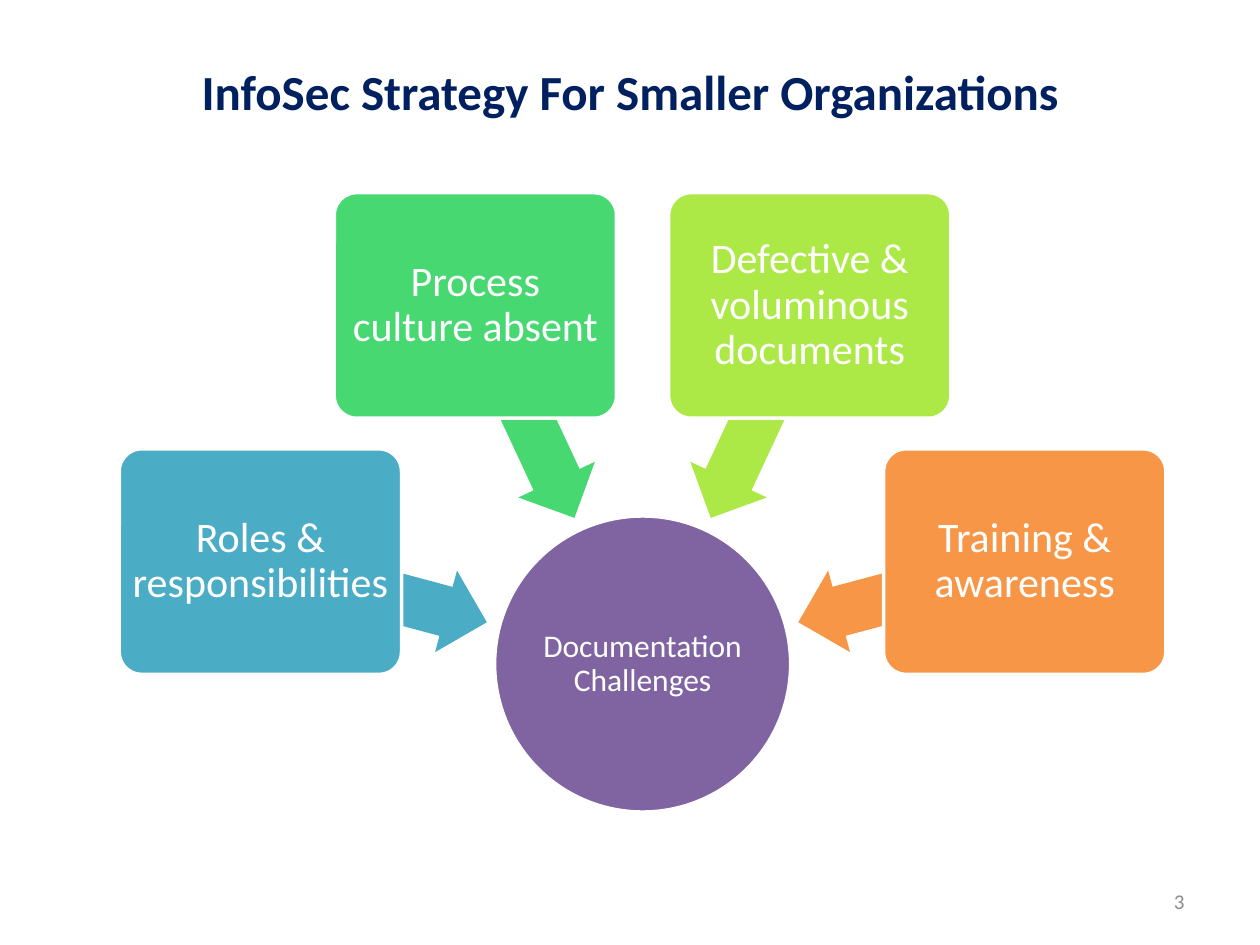
from math import cos, radians, sin

from pptx import Presentation
from pptx import util as u
from pptx.dml.color import RGBColor
from pptx.enum import shapes, text

NAVY = RGBColor(0x00, 0x20, 0x60)
WHITE = RGBColor(0xFF, 0xFF, 0xFF)
GRAY = RGBColor(0x8C, 0x8C, 0x8C)
PURPLE = RGBColor(0x80, 0x64, 0xA2)
TEAL = RGBColor(0x4B, 0xAC, 0xC6)
GREEN = RGBColor(0x47, 0xD8, 0x72)
LIME = RGBColor(0xAC, 0xE9, 0x46)
ORANGE = RGBColor(0xF7, 0x96, 0x46)

HUB_X, HUB_Y, HUB_SIZE = 5.1, 5.27, 2.35
CARD_WIDTH, CARD_HEIGHT = 2.24, 1.79
CARD_DISTANCE = 3.14
ARROW_LENGTH, ARROW_HEIGHT = 1.86, 0.67

# Label, colour and direction from the card to the hub, in degrees clockwise
CHALLENGES = [
    ("Roles & responsibilities", TEAL, 15),
    ("Process culture absent", GREEN, 65),
    ("Defective & voluminous documents", LIME, 115),
    ("Training & awareness", ORANGE, 165),
]


class SlideBuilder:
    font_name = "Calibri"

    def __init__(self, slide):
        self.slide = slide

    def add_wording(self, shape, wording, size, color, align, inset=0.1, bold=False):
        frame = shape.text_frame
        frame.word_wrap = True
        frame.auto_size = text.MSO_AUTO_SIZE.NONE
        frame.vertical_anchor = text.MSO_ANCHOR.MIDDLE
        frame.margin_left = frame.margin_right = u.Inches(inset)
        frame.margin_top = frame.margin_bottom = u.Inches(min(inset, 0.05))
        paragraph = frame.paragraphs[0]
        paragraph.alignment = align
        run = paragraph.add_run()
        run.text = wording
        run.font.name = self.font_name
        run.font.size = u.Pt(size)
        run.font.bold = bold
        run.font.color.rgb = color
        return paragraph

    def title(self, wording):
        title = self.slide.shapes.title
        title.left, title.top = u.Inches(0.5), u.Inches(0.23)
        title.width, title.height = u.Inches(9), u.Inches(0.98)
        self.add_wording(title, wording, 28, NAVY, text.PP_ALIGN.CENTER, bold=True)

    def page_number(self, number):
        box = self.slide.shapes.add_textbox(
            u.Inches(7.17), u.Inches(6.95), u.Inches(2.33), u.Inches(0.4))
        self.add_wording(box, str(number), 12, GRAY, text.PP_ALIGN.RIGHT)

    def centered_shape(self, kind, x, y, width, height, color):
        """Add a filled shape whose middle is at x, y."""
        shape = self.slide.shapes.add_shape(
            kind, u.Inches(x - width / 2), u.Inches(y - height / 2),
            u.Inches(width), u.Inches(height))
        shape.shadow.inherit = False
        shape.fill.solid()
        shape.fill.fore_color.rgb = color
        shape.line.fill.background()
        return shape

    def label(self, shape, wording, size, inset):
        shape.line.color.rgb = WHITE
        shape.line.width = u.Pt(2)
        paragraph = self.add_wording(
            shape, wording, size, WHITE, text.PP_ALIGN.CENTER, inset)
        paragraph.line_spacing = 0.9

    def hub(self, wording):
        circle = self.centered_shape(
            shapes.MSO_SHAPE.OVAL, HUB_X, HUB_Y, HUB_SIZE, HUB_SIZE, PURPLE)
        self.label(circle, wording, 18, 0.01)

    def arrow(self, x, y, color, angle):
        """Add an arrow that starts at x, y and points along angle."""
        arrow = self.centered_shape(
            shapes.MSO_SHAPE.LEFT_ARROW,
            x + ARROW_LENGTH / 2 * cos(radians(angle)),
            y + ARROW_LENGTH / 2 * sin(radians(angle)),
            ARROW_LENGTH, ARROW_HEIGHT, color)
        arrow.adjustments[0] = 0.6
        arrow.adjustments[1] = 0.5
        arrow.rotation = angle + 180

    def card(self, x, y, wording, color):
        card = self.centered_shape(
            shapes.MSO_SHAPE.ROUNDED_RECTANGLE, x, y,
            CARD_WIDTH, CARD_HEIGHT, color)
        card.adjustments[0] = 0.1
        self.label(card, wording, 24, 0.05)

    def challenge(self, wording, color, angle):
        x = HUB_X - CARD_DISTANCE * cos(radians(angle))
        y = HUB_Y - CARD_DISTANCE * sin(radians(angle))
        self.arrow(x, y, color, angle)
        self.card(x, y, wording, color)


def main():
    presentation = Presentation()
    presentation.slide_width = u.Inches(10)
    presentation.slide_height = u.Inches(7.5)
    title_only = presentation.slide_layouts[5]
    builder = SlideBuilder(presentation.slides.add_slide(title_only))
    builder.page_number(3)
    builder.title("InfoSec Strategy For Smaller Organizations")
    builder.hub("Documentation Challenges")
    for wording, color, angle in CHALLENGES:
        builder.challenge(wording, color, angle)
    presentation.save("out.pptx")


if __name__ == "__main__":
    main()
